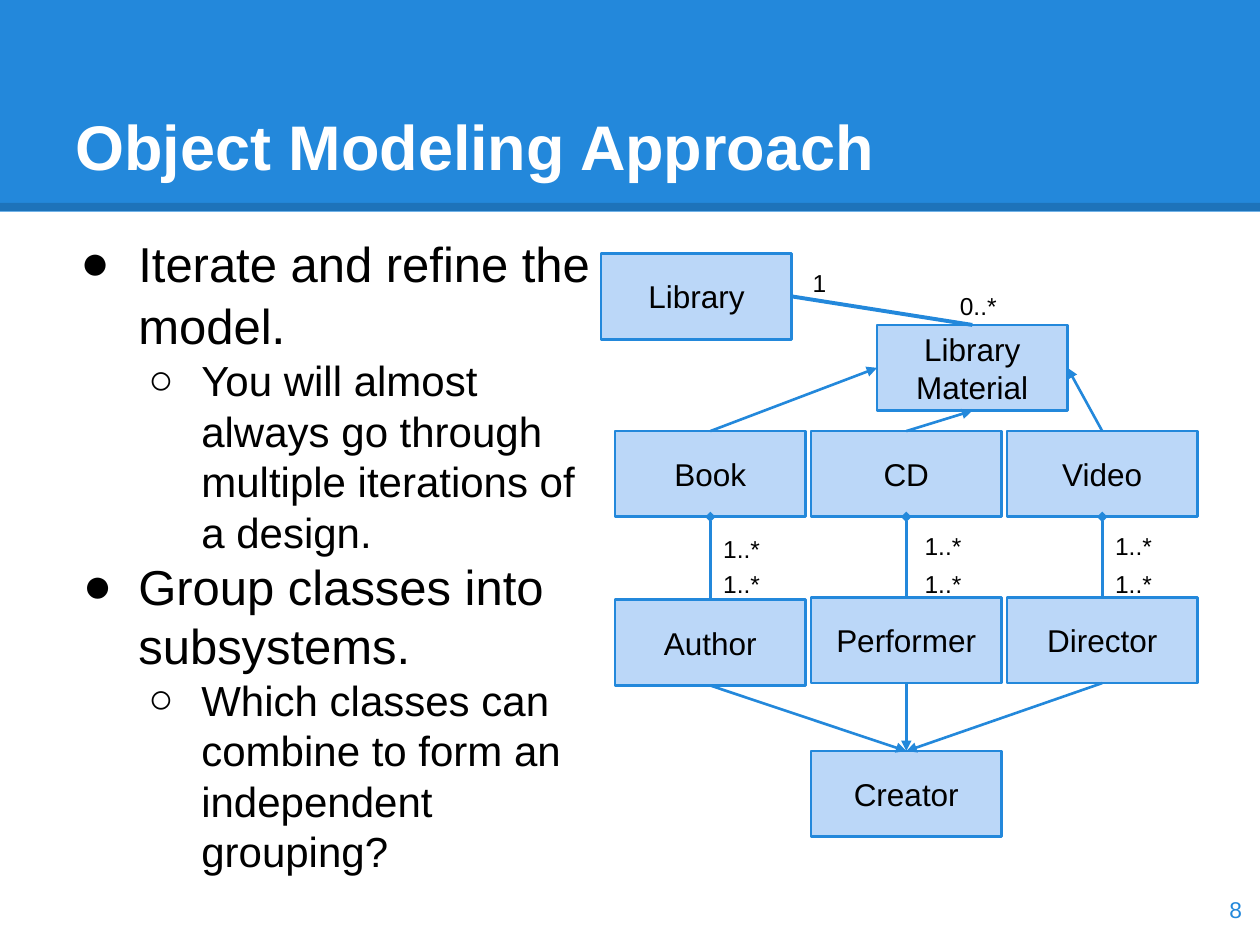
from pptx import Presentation
from pptx.dml.color import RGBColor
from pptx.enum.shapes import MSO_CONNECTOR, MSO_SHAPE
from pptx.enum.text import MSO_ANCHOR, MSO_AUTO_SIZE, PP_ALIGN
from pptx.oxml.ns import qn
from pptx.util import Cm, Pt
from lxml.etree import SubElement

BLUE = RGBColor(0x23, 0x88, 0xDB)
PALE = RGBColor(0xBB, 0xD7, 0xF8)
BLACK = RGBColor(0, 0, 0)
WHITE = RGBColor(255, 255, 255)
TOP, LEFT, BOTTOM, RIGHT = range(4)


class Page:
    font = "Arial"
    inset = Cm(0.25)
    box_w, box_h = 3.84, 1.73

    def __init__(self, deck):
        self.slide = deck.slides.add_slide(deck.slide_layouts[5])
        self.shapes = self.slide.shapes

    def style(self, runs, size, color=BLACK, bold=False):
        for run in runs:
            run.font.name = self.font
            run.font.size = Pt(size)
            run.font.bold = bold
            run.font.color.rgb = color

    def frame(self, shape, anchor=MSO_ANCHOR.TOP):
        frame = shape.text_frame
        frame.word_wrap = True
        frame.auto_size = MSO_AUTO_SIZE.NONE
        frame.vertical_anchor = anchor
        frame.margin_left = frame.margin_right = self.inset
        frame.margin_top = frame.margin_bottom = self.inset
        return frame

    def fill_text(self, shape, text, size, color=BLACK, bold=False,
                  align=PP_ALIGN.LEFT, anchor=MSO_ANCHOR.TOP):
        frame = self.frame(shape, anchor)
        frame.text = text
        para = frame.paragraphs[0]
        para.alignment = align
        self.style(para.runs, size, color, bold)

    def rect(self, x, y, w, h, fill):
        shape = self.shapes.add_shape(MSO_SHAPE.RECTANGLE, Cm(x), Cm(y), Cm(w), Cm(h))
        shape.shadow.inherit = False
        shape.fill.solid()
        shape.fill.fore_color.rgb = fill
        shape.line.fill.background()
        return shape

    def title(self, text):
        shape = self.shapes.title
        shape.left, shape.top, shape.width, shape.height = Cm(1.27), Cm(0.76), Cm(22.86), Cm(3.18)
        self.fill_text(shape, text, 36, WHITE, True, anchor=MSO_ANCHOR.BOTTOM)
        # Bring the title in front of the band
        shape.element.getparent().append(shape.element)

    def label(self, text, x, y, w=1.57, h=0.71, size=14, **look):
        shape = self.shapes.add_textbox(Cm(x), Cm(y), Cm(w), Cm(h))
        self.fill_text(shape, text, size, **look)

    def node(self, text, x, y):
        shape = self.rect(x, y, self.box_w, self.box_h, PALE)
        shape.line.color.rgb = BLUE
        shape.line.width = Pt(1.5)
        self.fill_text(shape, text, 18, align=PP_ALIGN.CENTER, anchor=MSO_ANCHOR.MIDDLE)
        return shape

    def line(self, start, end, color=BLUE, width=1.5):
        line = self.shapes.add_connector(MSO_CONNECTOR.STRAIGHT, *start, *end)
        line.line.color.rgb = color
        line.line.width = Pt(width)
        SubElement(line.element.spPr, qn("a:effectLst"))
        return line

    def link(self, source, side, target, end, tip=None, width=1.5):
        line = self.line((0, 0), (0, 0), width=width)
        line.begin_connect(source, side)
        line.end_connect(target, end)
        if tip:
            SubElement(line.element.spPr.find(qn("a:ln")), qn("a:tailEnd"), type=tip)

    def bullets(self, items, x, y, w, h):
        frame = self.frame(self.shapes.add_textbox(Cm(x), Cm(y), Cm(w), Cm(h)))
        for i, (level, hang, parts) in enumerate(items):
            para = frame.add_paragraph() if i else frame.paragraphs[0]
            para.level = level
            props = para._p.get_or_add_pPr()
            props.set("marL", str(Cm(1.27 * (level + 1))))
            props.set("indent", str(-Cm(hang)))
            tint = SubElement(props, qn("a:buClr"))
            SubElement(tint, qn("a:srgbClr"), val=str(BLACK))
            SubElement(props, qn("a:buFont"), typeface=self.font)
            SubElement(props, qn("a:buChar"), char="●○"[level])
            for text, size in parts:
                run = para.add_run()
                run.text = text
                self.style([run], size)


def main():
    deck = Presentation()
    deck.slide_width, deck.slide_height = Cm(25.4), Cm(19.05)
    page = Page(deck)

    # Header band with its darker lower edge
    page.rect(0, 0, 25.4, 4.27, BLUE)
    edge = page.line((0, Cm(4.17)), (Cm(25.4), Cm(4.17)), BLACK, 4.5)
    shade = edge.element.spPr.find(".//" + qn("a:srgbClr"))
    SubElement(shade, qn("a:alpha"), val="15000")
    page.title("Object Modeling Approach")

    # Bullet list
    page.bullets([
        (0, 1.17, [("Iterate and refine the model", 28), (".", 30)]),
        (1, 1.07, [("You will almost always go through multiple iterations of a design.", 24)]),
        (0, 1.12, [("Group classes into subsystems.", 28)]),
        (1, 1.07, [("Which classes can combine to form an independent grouping?", 24)]),
    ], 1.27, 4.45, 11.1, 13.79)

    # Library and its material
    library = page.node("Library", 12.12, 5.11)
    stock = page.node("Library Material", 17.68, 6.55)
    page.link(stock, TOP, library, RIGHT, width=2.25)
    page.label("1", 16.13, 5.16, w=0.84)
    page.label("0..*", 19.1, 5.61)

    # One column for each kind of material and its maker
    maker = page.node("Creator", 16.35, 15.14)
    columns = [
        ("Book", "Author", LEFT, 0.05, 14.33),
        ("CD", "Performer", BOTTOM, 0, 18.39),
        ("Video", "Director", RIGHT, 0, 22.23),
    ]
    for i, (kind, role, side, drop, mark) in enumerate(columns):
        x = 12.4 + 3.95 * i
        item = page.node(kind, x, 8.69)
        person = page.node(role, x, 12.04 + drop)
        page.link(item, TOP, stock, side, "triangle")
        page.link(person, TOP, item, BOTTOM, "diamond")
        page.link(person, BOTTOM, maker, TOP, "triangle")
        page.label("1..*", mark, 10.46 + drop)
        page.label("1..*", mark, 11.22)

    # Page number
    page.label("8", 23.77, 17.6, 1.52, 1.45, 13, color=BLUE,
               align=PP_ALIGN.RIGHT, anchor=MSO_ANCHOR.MIDDLE)
    deck.save("out.pptx")


if __name__ == "__main__":
    main()
